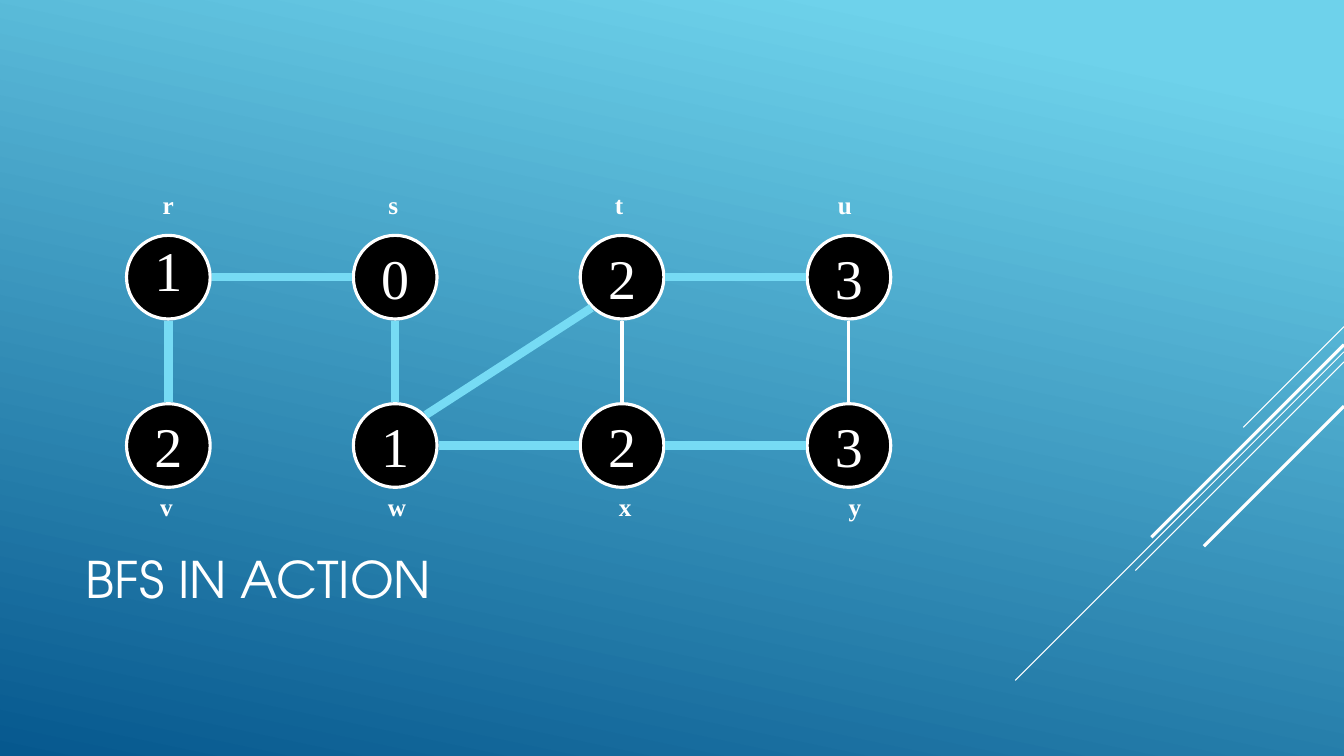
from math import copysign, hypot

from lxml import etree
from pptx import Presentation
from pptx.dml.color import RGBColor
from pptx.enum.shapes import MSO_CONNECTOR, MSO_SHAPE
from pptx.enum.text import MSO_ANCHOR, MSO_AUTO_SIZE, PP_ALIGN
from pptx.oxml.ns import qn
from pptx.util import Inches, Pt

STRAIGHT = MSO_CONNECTOR.STRAIGHT
ELLIPSE = MSO_SHAPE.OVAL
MIDDLE = MSO_ANCHOR.MIDDLE
CENTER, LEFT = PP_ALIGN.CENTER, PP_ALIGN.LEFT
NO_AUTOFIT = MSO_AUTO_SIZE.NONE

WIDTH, HEIGHT = 13.33, 7.5
WHITE, BLACK, TREE_BLUE = "FFFFFF", "000000", "76DBF4"
TITLE_FONT, GRAPH_FONT = "TeX Gyre Adventor", "Times New Roman"

GRID_LEFT, GRID_TOP = 1.67, 2.75
COLUMN_PITCH, ROW_PITCH = 2.25, 1.67
DIAMETER = 0.83
EDGE_GAP = 0.43
LABEL_TOPS = (1.83, 4.83)
LABEL_WIDTH, LABEL_HEIGHT = 0.36, 0.43

# name: (column, row, distance, label centre, line spacing)
NODES = {
    "r": (0, 0, 1, 1.67, 0.7),
    "v": (0, 1, 2, 1.65, 1),
    "s": (1, 0, 0, 3.9, 1),
    "w": (1, 1, 1, 3.93, 1),
    "t": (2, 0, 2, 6.14, 1),
    "x": (2, 1, 2, 6.2, 1),
    "u": (3, 0, 3, 8.38, 1),
    "y": (3, 1, 3, 8.48, 1),
}
TREE_EDGES = ("vr", "rs", "sw", "wt", "wx", "tu", "xy")
OTHER_EDGES = ("xt", "yu")

# start on the right edge, run to the left at 45 degrees, line width
CORNER_LINES = (
    (3.24, 1, 0.75),
    (3.49, 3.26, 0.75),
    (3.59, 2.07, 0.75),
    (3.42, 1.91, 2.25),
    (4.03, 1.39, 2.25),
)


def color(hex_code):
    return RGBColor.from_string(hex_code)


def set_background(slide):
    fill = slide.background.fill
    fill.gradient()
    fill.gradient_angle = 258
    for stop, position, shade in zip(fill.gradient_stops, (0.1, 1), ("6ED2EB", "06588E")):
        stop.position = position
        stop.color.rgb = color(shade)


def write(text_frame, text, size, font, bold=False, align=CENTER):
    text_frame.text = text
    paragraph = text_frame.paragraphs[0]
    paragraph.alignment = align
    run_font = paragraph.runs[0].font
    run_font.size, run_font.name, run_font.bold = Pt(size), font, bold
    run_font.color.rgb = color(WHITE)
    return paragraph


def add_line(slide, start, end, shade, width):
    points = [Inches(value) for value in (*start, *end)]
    line = slide.shapes.add_connector(STRAIGHT, *points)
    line.line.color.rgb = color(shade)
    line.line.width = Pt(width)
    etree.SubElement(line._element.spPr, qn("a:effectLst"))


def add_title(slide, text):
    title = slide.shapes.title
    title.left, title.top = Inches(0.75), Inches(4.91)
    title.width, title.height = Inches(9.33), Inches(1.65)
    write(title.text_frame, text, 36, TITLE_FONT, align=LEFT)
    title.text_frame.vertical_anchor = MIDDLE
    title.text_frame.auto_size = NO_AUTOFIT


def node_center(name):
    column, row = NODES[name][:2]
    return GRID_LEFT + column * COLUMN_PITCH, GRID_TOP + row * ROW_PITCH


def add_node(slide, name):
    x, y = node_center(name)
    distance, line_spacing = NODES[name][2], NODES[name][4]
    circle = slide.shapes.add_shape(
        ELLIPSE, Inches(x - DIAMETER / 2), Inches(y - DIAMETER / 2),
        Inches(DIAMETER), Inches(DIAMETER))
    circle.shadow.inherit = False
    circle.fill.solid()
    circle.fill.fore_color.rgb = color(BLACK)
    circle.line.color.rgb = color(WHITE)
    circle.line.width = Pt(2.25)
    circle.text_frame.word_wrap = False
    circle.text_frame.vertical_anchor = MIDDLE
    write(circle.text_frame, str(distance), 40, GRAPH_FONT).line_spacing = line_spacing


def add_label(slide, name):
    row, center = NODES[name][1], NODES[name][3]
    label = slide.shapes.add_textbox(
        Inches(center - LABEL_WIDTH / 2), Inches(LABEL_TOPS[row]),
        Inches(LABEL_WIDTH), Inches(LABEL_HEIGHT))
    label.text_frame.word_wrap = False
    write(label.text_frame, name, 18, GRAPH_FONT, bold=True)


def add_edge(slide, edge, shade, width):
    """Join two circles at the nearest of their eight compass points."""
    (x1, y1), (x2, y2) = map(node_center, edge)
    step_x = copysign(1, x2 - x1) if x1 != x2 else 0
    step_y = copysign(1, y2 - y1) if y1 != y2 else 0
    gap = EDGE_GAP / hypot(step_x, step_y)
    start = (x1 + gap * step_x, y1 + gap * step_y)
    end = (x2 - gap * step_x, y2 - gap * step_y)
    add_line(slide, start, end, shade, width)


def main():
    presentation = Presentation()
    presentation.slide_width, presentation.slide_height = Inches(WIDTH), Inches(HEIGHT)
    slide = presentation.slides.add_slide(presentation.slide_layouts[5])
    set_background(slide)
    for top, run, width in CORNER_LINES:
        add_line(slide, (WIDTH, top), (WIDTH - run, top + run), WHITE, width)
    add_title(slide, "BFS IN ACTION")
    for name in NODES:
        add_node(slide, name)
        add_label(slide, name)
    for edge in TREE_EDGES:
        add_edge(slide, edge, TREE_BLUE, 6)
    for edge in OTHER_EDGES:
        add_edge(slide, edge, WHITE, 2.25)
    presentation.save("out.pptx")


if __name__ == "__main__":
    main()
